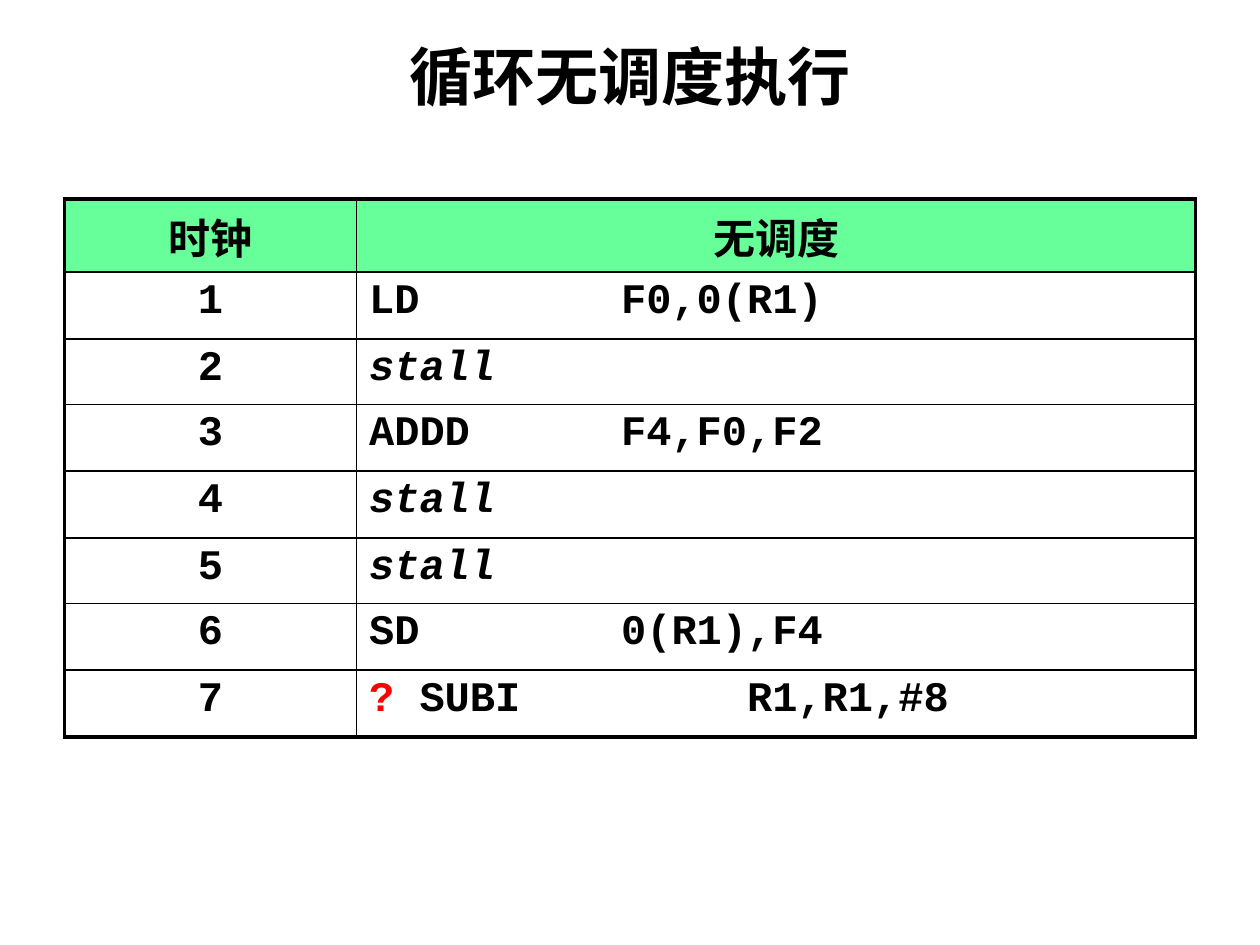
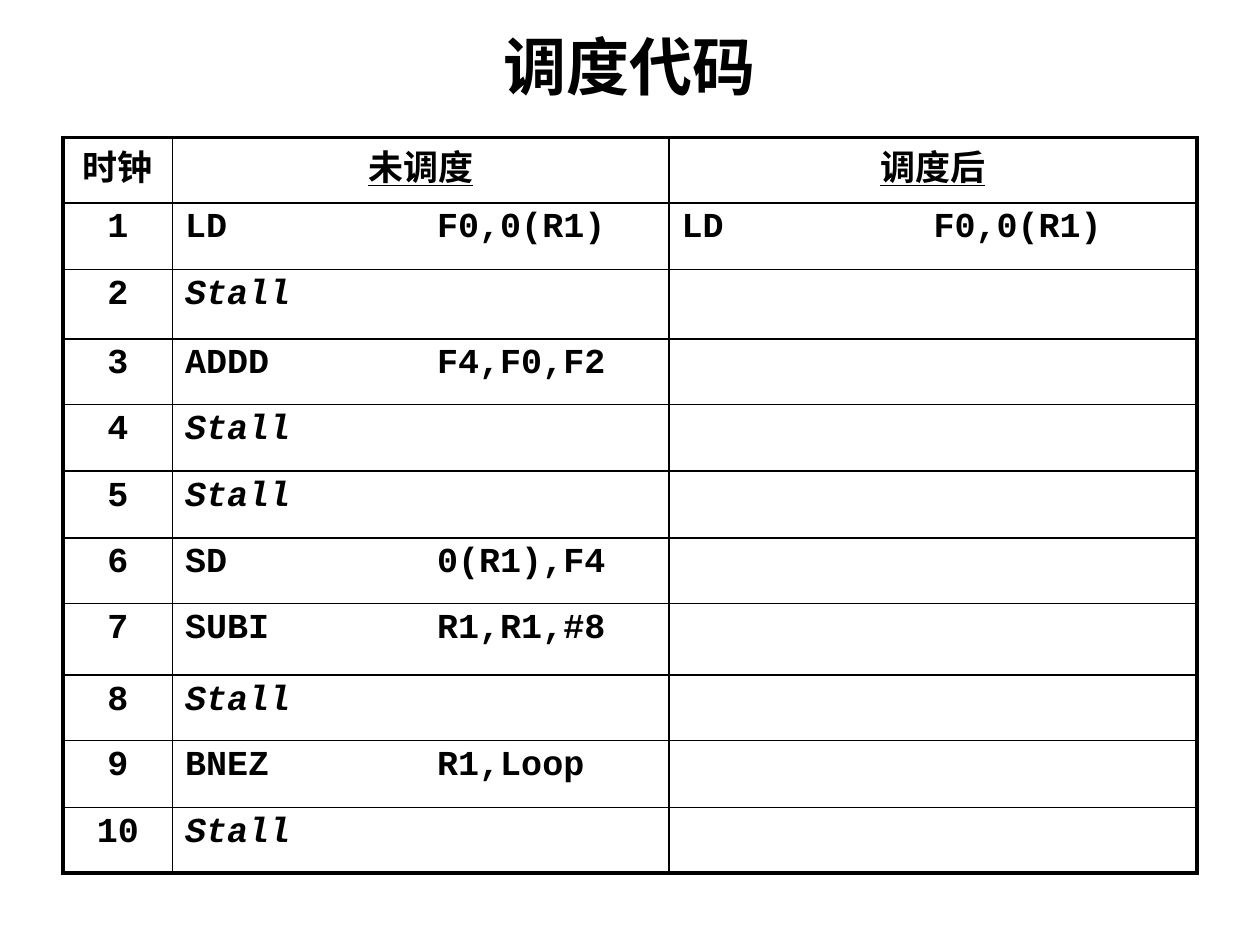
from lxml.etree import SubElement
from pptx import Presentation
from pptx.dml.color import RGBColor
from pptx.enum.text import MSO_ANCHOR, PP_ALIGN
from pptx.oxml import parse_xml
from pptx.oxml.ns import nsdecls, qn
from pptx.util import Inches, Pt

BLACK = RGBColor(0x00, 0x00, 0x00)
RED = RGBColor(0xFF, 0x00, 0x00)
HEADER_GREEN = RGBColor(0x66, 0xFF, 0x99)
TITLE_FONT = "Calibri"
CODE_FONT = "Courier New"
OUTER_LINE = Pt(2.25)
INNER_LINE = Pt(1)
TAB_STOPS = [1, 2, 3]

PAGES = [
    {
        "title": "循环无调度执行", "title_top": -0.03,
        "left": 0.51, "top": 1.58,
        "columns": [2.32, 6.66],
        "heights": [0.58, 0.53, 0.52, 0.53, 0.53, 0.52, 0.53, 0.53],
        "size": 24, "spacing": 1.0, "header_fill": HEADER_GREEN, "underline": False,
        "header": ["时钟", "无调度"],
        "code": [
            ["LD\t\tF0,0(R1)"], ["stall"], ["ADDD\t\tF4,F0,F2"], ["stall"],
            ["stall"], ["SD\t\t0(R1),F4"], ["? SUBI\t\tR1,R1,#8"],
        ],
    },
    {
        "title": "调度代码", "title_top": -0.11,
        "left": 0.5, "top": 1.09,
        "columns": [0.87, 3.94, 4.19],
        "heights": [0.52, 0.53, 0.55, 0.52, 0.53, 0.53, 0.52, 0.57, 0.52, 0.53, 0.52],
        "size": 20, "spacing": 0.9, "header_fill": None, "underline": True,
        "header": ["时钟", "未调度", "调度后"],
        "code": [
            ["LD\t\tF0,0(R1)", "LD\t\tF0,0(R1)"], ["Stall", ""],
            ["ADDD\t\tF4,F0,F2", ""], ["Stall", ""], ["Stall", ""],
            ["SD\t\t0(R1),F4", ""], ["SUBI\t\tR1,R1,#8", ""], ["Stall", ""],
            ["BNEZ\t\tR1,Loop", ""], ["Stall", ""],
        ],
    },
]


def style_font(font, name, size):
    font.name = name
    font.size = Pt(size)
    font.bold = True
    font.color.rgb = BLACK


def set_borders(cell, widths):
    """Draw the left, right, top and bottom lines; they must precede the fill."""
    properties = cell._tc.get_or_add_tcPr()
    for position, (side, width) in enumerate(zip("LRTB", widths)):
        line = parse_xml(
            f'<a:ln{side} {nsdecls("a")} w="{width}"><a:solidFill>'
            f'<a:srgbClr val="{BLACK}"/></a:solidFill></a:ln{side}>'
        )
        properties.insert(position, line)


deck = Presentation()
deck.slide_width = Inches(10)
deck.slide_height = Inches(7.5)

for content in PAGES:
    page = deck.slides.add_slide(deck.slide_layouts[6])

    title_box = page.shapes.add_textbox(
        Inches(0.5), Inches(content["title_top"]), Inches(9), Inches(1.25))
    title_box.text_frame.word_wrap = True
    title_box.text_frame.vertical_anchor = MSO_ANCHOR.MIDDLE
    title = title_box.text_frame.paragraphs[0]
    title.text = content["title"]
    title.alignment = PP_ALIGN.CENTER
    style_font(title.font, TITLE_FONT, 36)

    columns, heights = content["columns"], content["heights"]
    table = page.shapes.add_table(
        len(heights), len(columns), Inches(content["left"]), Inches(content["top"]),
        Inches(sum(columns)), Inches(sum(heights))).table
    table.first_row = False
    table.horz_banding = False
    for column, width in zip(table.columns, columns):
        column.width = Inches(width)
    for row, height in zip(table.rows, heights):
        row.height = Inches(height)

    rows = [content["header"]]
    rows += [[str(clock), *code] for clock, code in enumerate(content["code"], 1)]
    last_row, last_column = len(heights) - 1, len(columns) - 1

    for row_index, texts in enumerate(rows):
        for column_index, text in enumerate(texts):
            cell = table.cell(row_index, column_index)
            is_header = row_index == 0
            if is_header and content["header_fill"]:
                cell.fill.solid()
                cell.fill.fore_color.rgb = content["header_fill"]
            else:
                cell.fill.background()
            on_edge = (column_index == 0, column_index == last_column,
                       is_header, row_index == last_row)
            set_borders(cell, [OUTER_LINE if edge else INNER_LINE for edge in on_edge])

            para = cell.text_frame.paragraphs[0]
            para.line_spacing = content["spacing"]
            centred = is_header or column_index == 0
            para.alignment = PP_ALIGN.CENTER if centred else PP_ALIGN.LEFT
            if "\t" in text:
                tabs = SubElement(para._p.get_or_add_pPr(), qn("a:tabLst"))
                for stop in TAB_STOPS:
                    SubElement(tabs, qn("a:tab"), pos=str(Inches(stop)), algn="l")
            style_font(para.font, CODE_FONT, content["size"])
            para.font.italic = text.lower() == "stall"
            para.font.underline = is_header and column_index > 0 and content["underline"]
            if text.startswith("?"):
                mark = para.add_run()
                mark.text = "?"
                mark.font.color.rgb = RED
                text = text[1:]
            if text:
                para.add_run().text = text

deck.save("out.pptx")
